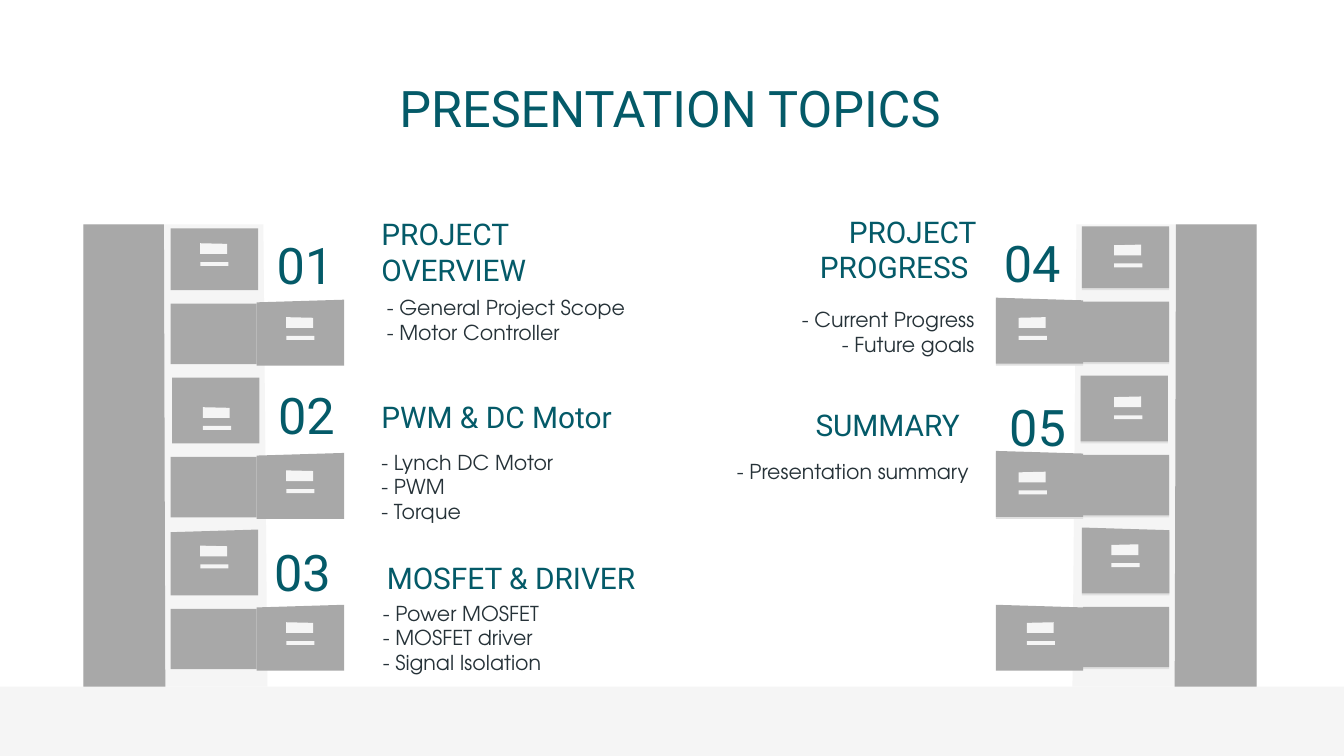
from dataclasses import dataclass

from pptx import Presentation
from pptx.dml.color import RGBColor
from pptx.enum.shapes import MSO_SHAPE as Shape
from pptx.enum.text import MSO_ANCHOR as Anchor, MSO_AUTO_SIZE as AutoSize, PP_ALIGN as Align
from pptx.util import Inches, Pt


@dataclass(frozen=True)
class Theme:
    teal: str = "045A68"
    ink: str = "263238"
    steel: str = "A8A8A8"
    pale: str = "F5F5F5"
    shade: str = "E0E0E0"
    heading_font: str = "Roboto"
    body_font: str = "TeX Gyre Adventor"
    title_size: int = 27
    heading_size: int = 16
    body_size: int = 11


THEME = Theme()
TITLE_STYLE = (THEME.heading_font, THEME.title_size, THEME.teal)
HEADING_STYLE = (THEME.heading_font, THEME.heading_size, THEME.teal)
BODY_STYLE = (THEME.body_font, THEME.body_size, THEME.ink)

SLIDE_WIDTH = 10
SLIDE_HEIGHT = SLIDE_WIDTH * 9 / 16
FLOOR_TOP, CABINET_TOP = 5.11, 1.67
MIRROR_SUM = 9.97  # a left x and its mirrored x add up to this
TEXT_WIDTH, NUMBER_WIDTH, NUMBER_HEIGHT = 2.24, 0.72, 0.9
LIFT = 0.03 / 2  # gap between a drawer front and its shade
PLATE_SLOPE = 0.01 / 2

# number and its place, heading and its box (left, top, height),
# paragraphs of points and their box
LEFT_TOPICS = [
    ("01", (1.91, 1.64), "PROJECT OVERVIEW", (2.74, 1.54, 0.7),
     ["- General Project Scope\n- Motor Controller"], (2.78, 2.2, 0.36)),
    ("02", (1.92, 2.76), "PWM & DC Motor", (2.74, 2.89, 0.44),
     ["- Lynch DC Motor", "- PWM \n- Torque"], (2.74, 3.39, 0.46)),
    ("03", (1.89, 3.93), "MOSFET & DRIVER", (2.78, 4.1, 0.43),
     ["- Power MOSFET \n- MOSFET driver\n- Signal Isolation"], (2.75, 4.42, 0.65)),
]
RIGHT_TOPICS = [
    ("04", (7.32, 1.63), "PROJECT PROGRESS ", (5.12, 1.52, 0.7),
     ["- Current Progress\n- Future goals"], (5.11, 2.37, 0.2)),
    ("05", (7.36, 2.85), "SUMMARY", (5, 2.68, 0.71),
     ["- Presentation summary"], (5.07, 3.41, 0.2)),
]

# left, top, height and slant of the closed drawers; tops of the open ones
CLOSED_DRAWERS = [(1.27, 1.7, 0.46, 0), (1.28, 2.81, 0.49, 0), (1.27, 3.94, 0.49, 0.02)]
OPEN_TOPS = [2.23, 3.37, 4.5]
LEFT_HANDLES = [(1.49, 1.81), (1.51, 3.03), (1.49, 4.06),
                (2.13, 2.36), (2.13, 3.5), (2.13, 4.63)]
RIGHT_HANDLES = [(8.29, 1.82), (8.29, 2.95), (8.27, 4.05),
                 (7.58, 2.36), (7.58, 3.51), (7.64, 4.63)]


def paint(shape, color):
    shape.shadow.inherit = False
    shape.fill.solid()
    shape.fill.fore_color.rgb = RGBColor.from_string(color)
    shape.line.fill.background()


def add_polygon(shapes, points, color, mirrored=False):
    corners = [(Inches(MIRROR_SUM - x if mirrored else x), Inches(y)) for x, y in points]
    builder = shapes.build_freeform(*corners[0])
    builder.add_line_segments(corners[1:], close=True)
    paint(builder.convert_to_shape(), color)


def add_panel(shapes, left, top, width, height, color, slant=0, mirrored=False):
    """Draw a rectangle whose inner top corner is lowered by the slant."""
    right, bottom = left + width, top + height
    if slant:
        corners = [(right, top), (left, top + slant), (left, bottom), (right, bottom)]
        add_polygon(shapes, corners, color, mirrored)
        return
    start = MIRROR_SUM - right if mirrored else left
    panel = shapes.add_shape(Shape.RECTANGLE, Inches(start), Inches(top),
                             Inches(width), Inches(height))
    paint(panel, color)


def add_handle(shapes, left, top, mirrored):
    """Draw a label plate with a bar below it."""
    start = MIRROR_SUM - left - 0.2 if mirrored else left
    plate = [(start, top), (start, top + 0.08),
             (start + 0.2, top + 0.08), (start + 0.2, top + PLATE_SLOPE)]
    add_polygon(shapes, plate, THEME.pale, mirrored)
    add_panel(shapes, left, top + 0.14, 0.21, 0.03, THEME.pale)


def add_cabinet(slide, handles, mirrored=False):
    """Draw a cabinet; the mirrored one has shaded drawers."""
    shapes = slide.shapes.add_group_shape().shapes
    for top_right, bottom_right, color in [(1.96, 1.99, THEME.pale), (1.22, 1.23, THEME.steel)]:
        outline = [(0.62, CABINET_TOP), (0.62, FLOOR_TOP),
                   (bottom_right, FLOOR_TOP), (top_right, CABINET_TOP)]
        add_polygon(shapes, outline, color, mirrored)

    drawers = [(left, top, 0.65, height, slant) for left, top, height, slant in CLOSED_DRAWERS]
    for top in OPEN_TOPS:
        drawers.append((1.91, top, 0.65, 0.49, 0.02))
        drawers.append((1.27, top + 0.03, 0.64, 0.45, 0))
    layers = [(0, THEME.shade), (LIFT, THEME.steel)] if mirrored else [(0, THEME.steel)]
    for lift, color in layers:
        for left, top, width, height, slant in drawers:
            is_lowest_open = top == OPEN_TOPS[-1]
            if is_lowest_open and mirrored and lift == 0:
                continue  # this drawer casts no shade
            rise = 0 if is_lowest_open else lift
            add_panel(shapes, left, top - rise, width, height, color, slant, mirrored)
    for left, top in handles:
        add_handle(shapes, left, top, mirrored)


def write_text(box, paragraphs, style, align, anchor):
    font, size, color = style
    frame = box.text_frame
    frame.word_wrap = True
    frame.auto_size = AutoSize.NONE
    frame.vertical_anchor = anchor
    frame.margin_left = frame.margin_right = Inches(0.1)
    frame.margin_top = frame.margin_bottom = Inches(0.1)
    for index, text in enumerate(paragraphs):
        para = frame.add_paragraph() if index else frame.paragraphs[0]
        para.text = text
        para.alignment = align
        for span in para.runs:
            span.font.name = font
            span.font.size = Pt(size)
            span.font.color.rgb = RGBColor.from_string(color)


def add_text(slide, left, top, width, height, paragraphs, style, align, anchor):
    box = slide.shapes.add_textbox(Inches(left), Inches(top), Inches(width), Inches(height))
    write_text(box, paragraphs, style, align, anchor)


def add_topic(slide, topic, align):
    number, number_place, heading, heading_box, points, points_box = topic
    for paragraphs, (left, top, height), style, anchor in [
        ([heading], heading_box, HEADING_STYLE, Anchor.BOTTOM),
        (points, points_box, BODY_STYLE, Anchor.MIDDLE),
    ]:
        add_text(slide, left, top, TEXT_WIDTH, height, paragraphs, style, align, anchor)
    add_text(slide, *number_place, NUMBER_WIDTH, NUMBER_HEIGHT, [number],
             TITLE_STYLE, Align.CENTER, Anchor.TOP)


def set_title(slide, text):
    title = slide.shapes.title
    title.left, title.top = Inches(0.62), Inches(0.59)
    title.width, title.height = Inches(8.73), Inches(0.42)
    write_text(title, [text], TITLE_STYLE, Align.CENTER, Anchor.MIDDLE)


def main():
    deck = Presentation()
    deck.slide_width, deck.slide_height = Inches(SLIDE_WIDTH), Inches(SLIDE_HEIGHT)
    page = deck.slides.add_slide(deck.slide_layouts[5])
    add_panel(page.shapes, 0, FLOOR_TOP, SLIDE_WIDTH, SLIDE_HEIGHT - FLOOR_TOP, THEME.pale)
    set_title(page, "PRESENTATION TOPICS")
    for topic in LEFT_TOPICS:
        add_topic(page, topic, Align.LEFT)
    for topic in RIGHT_TOPICS:
        add_topic(page, topic, Align.RIGHT)
    add_cabinet(page, RIGHT_HANDLES, mirrored=True)
    add_cabinet(page, LEFT_HANDLES)
    deck.save("out.pptx")


if __name__ == "__main__":
    main()
